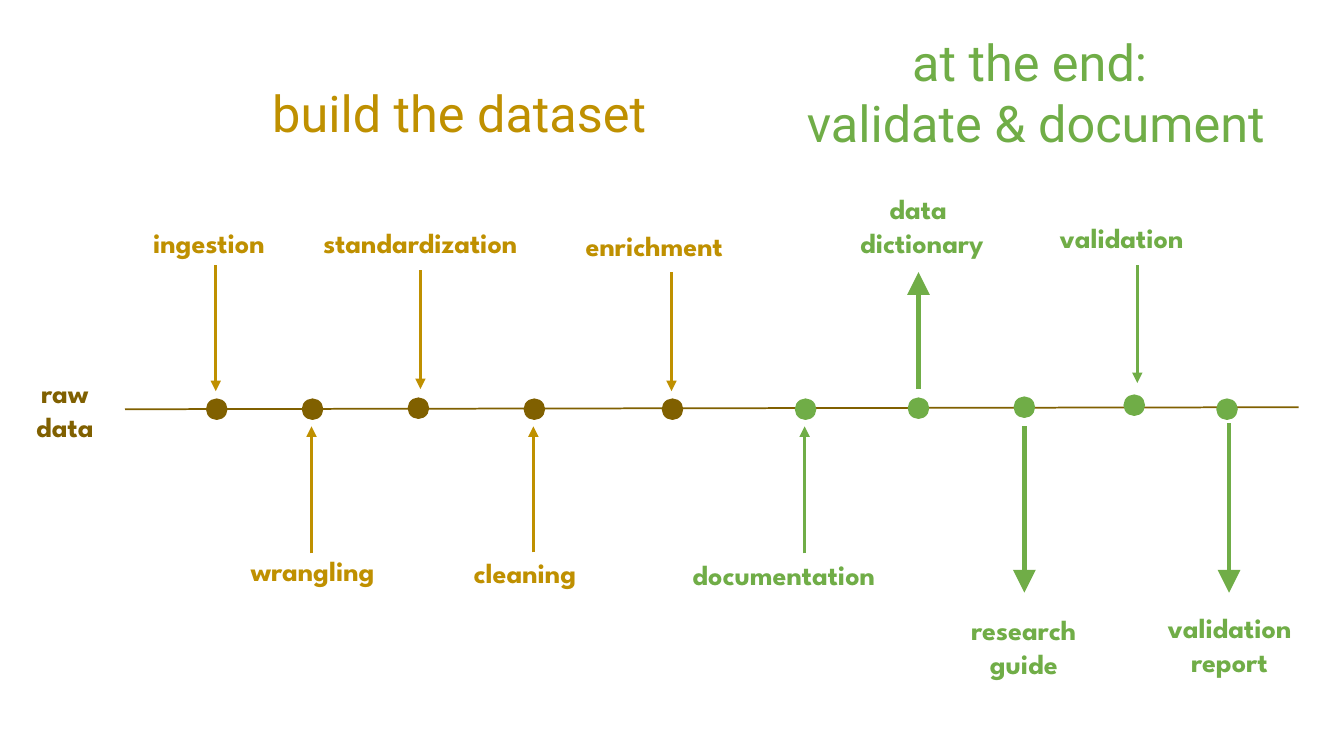
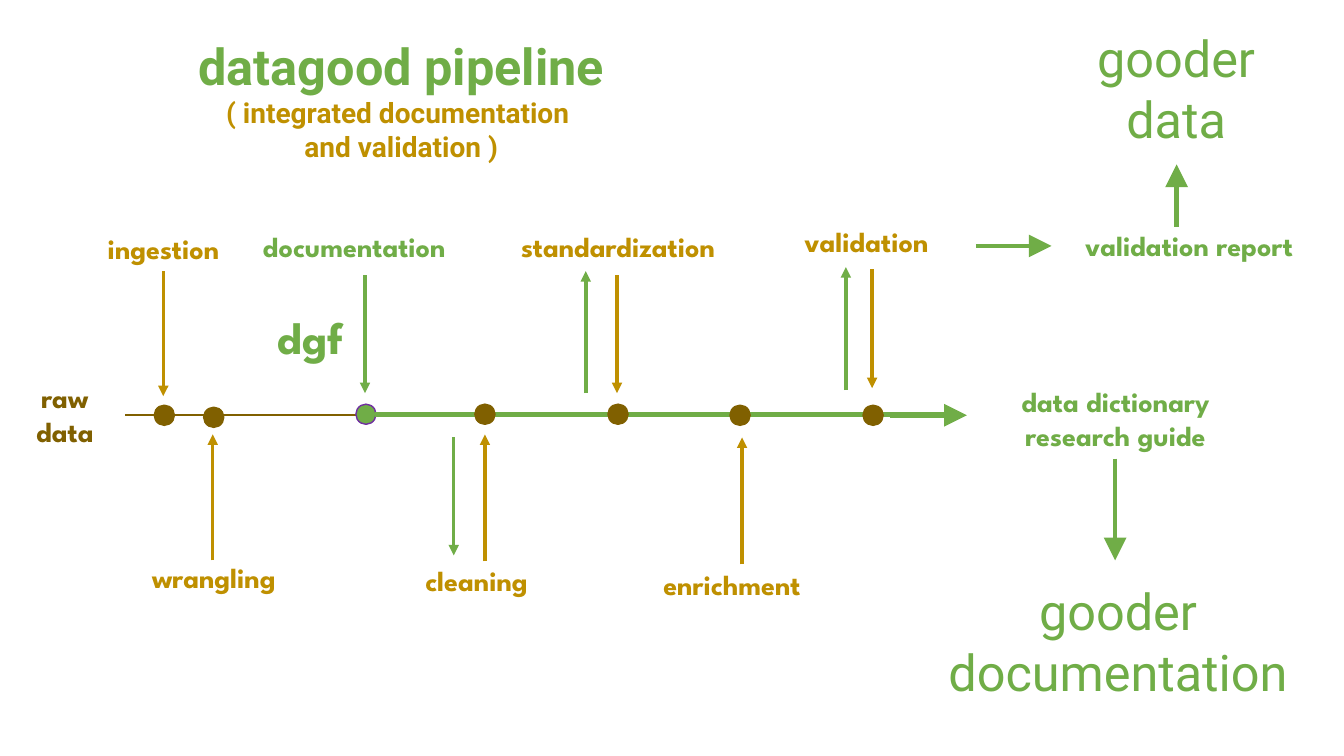
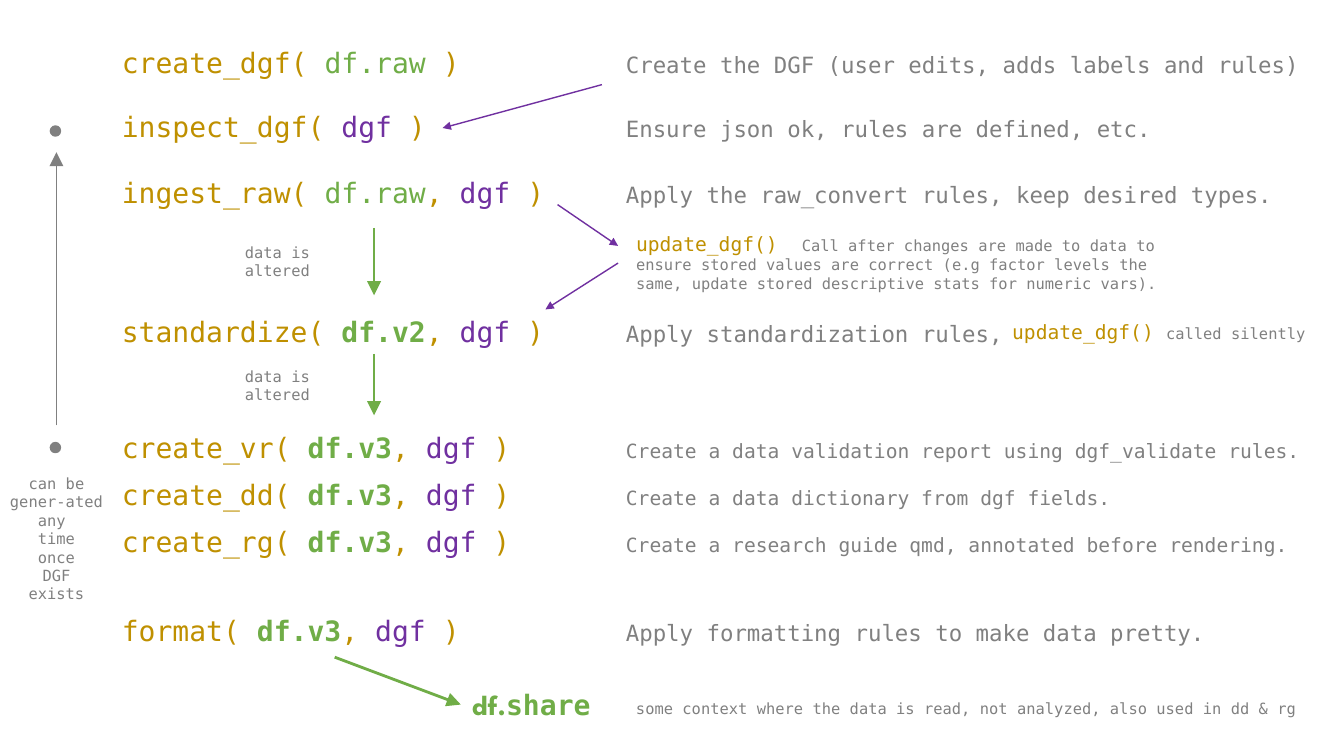
"""Builds three slides on a data pipeline with integrated documentation."""
from lxml import etree
from pptx import Presentation
from pptx.dml.color import RGBColor
from pptx.enum.shapes import MSO_CONNECTOR, MSO_SHAPE
from pptx.enum.text import MSO_AUTO_SIZE, PP_ALIGN
from pptx.oxml.ns import qn
from pptx.util import Inches, Pt

STRAIGHT = MSO_CONNECTOR.STRAIGHT
OVAL = MSO_SHAPE.OVAL
FIT_SHAPE = MSO_AUTO_SIZE.SHAPE_TO_FIT_TEXT
LEFT, CENTER = PP_ALIGN.LEFT, PP_ALIGN.CENTER

COLORS = {
    "brown": "806000",
    "gold": "BF9000",
    "green": "70AD47",
    "purple": "7030A0",
    "gray": "808080",
}
LABEL_FONT, TITLE_FONT, CODE_FONT = "League Spartan", "Roboto", "DejaVu Sans Mono"
NOTE = {"font": CODE_FONT, "size": 11, "color": "gray"}
THIN, MEDIUM, THICK = 1.25, 2.5, 3.25


def rgb(name):
    """Return the named colour."""
    return RGBColor.from_string(COLORS[name])


def add_run(paragraph, text, font=LABEL_FONT, size=20, color="green", bold=False):
    """Add one formatted run to a paragraph."""
    run = paragraph.add_run()
    run.text = text
    run.font.name = font
    run.font.size = Pt(size)
    run.font.bold = bold
    run.font.color.rgb = rgb(color)


def add_text(slide, box, content, align=LEFT, wrap=False, tab=None, **style):
    """Add text: a string, or a list of lines made of (text, changes) runs."""
    shape = slide.shapes.add_textbox(*map(Inches, box))
    frame = shape.text_frame
    frame.word_wrap = wrap
    frame.auto_size = FIT_SHAPE
    if isinstance(content, str):
        content = [[(line, {})] for line in content.split("\n")]
    for index, line in enumerate(content):
        paragraph = frame.add_paragraph() if index else frame.paragraphs[0]
        paragraph.alignment = align
        if tab:
            properties = paragraph._p.get_or_add_pPr()
            stops = etree.SubElement(properties, qn("a:tabLst"))
            etree.SubElement(stops, qn("a:tab"), pos=str(Inches(tab)), algn="l")
        for text, changes in line:
            add_run(paragraph, text, **{**style, **changes})


def add_label(slide, box, text, color, align=LEFT, size=20):
    """Add a bold step label."""
    add_text(slide, box, text, align, color=color, bold=True, size=size)


def add_title(slide, box, text, color="green", wrap=False):
    """Add a large centred heading."""
    add_text(slide, box, text, CENTER, wrap, font=TITLE_FONT, size=36, color=color)


def add_line(slide, start, end, color, width, head=None):
    """Add a straight line, with an arrowhead of size med or lg if wanted."""
    connector = slide.shapes.add_connector(STRAIGHT, *map(Inches, start + end))
    connector.line.color.rgb = rgb(color)
    connector.line.width = Pt(width)
    properties = connector._element.spPr
    if head:
        outline = properties.find(qn("a:ln"))
        etree.SubElement(outline, qn("a:tailEnd"), type="triangle", w=head, len=head)
    etree.SubElement(properties, qn("a:effectLst"))


def add_step_arrow(slide, x, start, end, color, width=MEDIUM):
    """Add a vertical arrow, with a large head if it is thick."""
    head = "lg" if width == THICK else "med"
    add_line(slide, (x, start), (x, end), color, width, head)


def add_dot(slide, x, y, color, outline=None, size=0.2):
    """Add a round marker centred on a point."""
    corner = (x - size / 2, y - size / 2)
    shape = slide.shapes.add_shape(OVAL, *map(Inches, corner + (size, size)))
    shape.shadow.inherit = False
    shape.fill.solid()
    shape.fill.fore_color.rgb = rgb(color)
    shape.line.color.rgb = rgb(outline or color)
    shape.line.width = Pt(1)


def add_call(slide, top, name, arguments, description, size):
    """Add a function call with its explanation at a tab stop."""
    runs = [(name + "( ", {})]
    for index, argument in enumerate(arguments):
        if index:
            runs.append((", ", {}))
        color = "purple" if argument == "dgf" else "green"
        runs.append((argument, {"color": color, "bold": argument.startswith("df.v")}))
    runs += [(" )\t", {}), (description, {"color": "gray", "size": size})]
    add_text(slide, (1.11, top, 12.1, 0.44), [runs], wrap=True, tab=5,
             font=CODE_FONT, color="gold")


def build_separate_slide(slide):
    """Draw the timeline that documents and validates at the end."""
    add_label(slide, (0.21, 3.68, 0.87, 0.77), "raw\ndata", "brown", CENTER)
    add_line(slide, (1.24, 4.06), (12.88, 4.04), "brown", THIN)
    for x, y, color in [
        (2.15, 4.06, "brown"), (3.1, 4.06, "brown"), (4.15, 4.05, "brown"),
        (5.3, 4.06, "brown"), (6.67, 4.06, "brown"), (7.99, 4.06, "green"),
        (9.11, 4.05, "green"), (10.16, 4.04, "green"), (11.25, 4.02, "green"),
        (12.17, 4.06, "green"),
    ]:
        add_dot(slide, x, y, color)
    for arrow in [
        (2.14, 2.63, 3.88, "gold"), (3.09, 5.49, 4.23, "gold"),
        (4.17, 2.68, 3.86, "gold"), (5.29, 5.48, 4.23, "gold"),
        (6.66, 2.7, 3.88, "gold"), (7.98, 5.49, 4.23, "green"),
        (9.11, 3.86, 2.7, "green", THICK), (10.16, 4.23, 5.88, "green", THICK),
        (11.28, 2.63, 3.8, "green"), (12.19, 4.2, 5.88, "green", THICK),
    ]:
        add_step_arrow(slide, *arrow)
    for left, top, width, text, color in [
        (1.42, 2.19, 1.42, "ingestion", "gold"),
        (2.39, 5.44, 1.54, "wrangling", "gold"),
        (3.11, 2.19, 2.29, "standardization", "gold"),
        (4.6, 5.46, 1.4, "cleaning", "gold"),
        (5.71, 2.22, 1.75, "enrichment", "gold"),
        (6.77, 5.48, 2.29, "documentation", "green"),
        (10.41, 2.14, 1.55, "validation", "green"),
    ]:
        add_label(slide, (left, top, width, 0.44), text, color)
    for left, top, width, text in [
        (8.36, 1.85, 1.57, "data \ndictionary"),
        (9.46, 6.03, 1.39, "research\nguide"),
        (11.42, 6.01, 1.55, "validation\nreport"),
    ]:
        add_label(slide, (left, top, width, 0.77), text, "green", CENTER)
    add_title(slide, (7.58, 0.26, 5.39, 1.31), "at the end: \nvalidate & document",
              wrap=True)
    add_title(slide, (2.44, 0.77, 4.23, 0.71), "build the dataset", "gold")


def build_integrated_slide(slide):
    """Draw the pipeline that documents and validates along the way."""
    add_label(slide, (0.21, 3.73, 0.87, 0.77), "raw\ndata", "brown", CENTER)
    add_line(slide, (1.24, 4.12), (9.44, 4.12), "brown", THIN)
    add_dot(slide, 3.63, 4.11, "green", "purple")
    add_line(slide, (3.72, 4.11), (9.43, 4.11), "green", 3.5)
    add_line(slide, (8.83, 4.12), (9.59, 4.12), "green", THICK, "lg")
    add_line(slide, (9.68, 2.44), (10.43, 2.44), "green", THICK, "lg")
    for x, y in [(1.63, 4.12), (2.12, 4.14), (4.81, 4.11), (6.13, 4.11),
                 (7.34, 4.12), (8.66, 4.12)]:
        add_dot(slide, x, y, "brown")
    for arrow in [
        (1.62, 2.69, 3.93, "gold"), (2.11, 5.56, 4.31, "gold"),
        (3.62, 2.73, 3.9, "green"), (4.5, 4.34, 5.51, "green"),
        (4.81, 5.57, 4.31, "gold"), (5.81, 3.9, 2.69, "green"),
        (6.12, 2.73, 3.9, "gold"), (7.36, 5.6, 4.34, "gold"),
        (8.39, 3.87, 2.65, "green"), (8.65, 2.67, 3.85, "gold"),
        (11.06, 4.55, 5.56, "green", THICK), (11.67, 2.25, 1.63, "green", THICK),
    ]:
        add_step_arrow(slide, *arrow)
    for left, top, width, text, color in [
        (0.97, 2.25, 1.42, "ingestion", "gold"),
        (1.41, 5.51, 1.54, "wrangling", "gold"),
        (2.51, 2.23, 2.29, "documentation", "green"),
        (4.12, 5.54, 1.4, "cleaning", "gold"),
        (5.07, 2.23, 2.29, "standardization", "gold"),
        (6.48, 5.58, 1.75, "enrichment", "gold"),
        (7.88, 2.18, 1.55, "validation", "gold"),
    ]:
        add_label(slide, (left, top, width, 0.44), text, color)
    add_label(slide, (9.92, 3.77, 2.29, 0.77), "data dictionary\nresearch guide",
              "green", CENTER)
    add_label(slide, (10.58, 2.22, 2.43, 0.44), "validation report", "green", CENTER)
    add_label(slide, (2.62, 3.02, 0.92, 0.64), "dgf", "green", CENTER, 32)
    subtitle = {"size": 20, "color": "gold"}
    heading = [
        [("datagood pipeline", {})],
        [("( integrated documentation ", subtitle)],
        [("and validation )", subtitle)],
    ]
    add_text(slide, (1.47, 0.3, 5.02, 1.38), heading, CENTER, True,
             font=TITLE_FONT, size=36, bold=True)
    add_title(slide, (9.21, 5.71, 3.76, 1.31), "gooder\ndocumentation")
    add_title(slide, (10.69, 0.22, 1.95, 1.31), "gooder\ndata")


def build_functions_slide(slide):
    """List the functions of the pipeline and what each one does."""
    for call in [
        (0.4, "create_dgf", ["df.raw"],
         "Create the DGF (user edits, adds labels and rules)", 16),
        (1.04, "inspect_dgf", ["dgf"], "Ensure json ok, rules are defined, etc.", 16),
        (1.69, "ingest_raw", ["df.raw", "dgf"],
         "Apply the raw_convert rules, keep desired types.", 16),
        (3.07, "standardize", ["df.v2", "dgf"], "Apply standardization rules,", 16),
        (4.22, "create_vr", ["df.v3", "dgf"],
         "Create a data validation report using dgf_validate rules.", 14),
        (4.69, "create_dd", ["df.v3", "dgf"],
         "Create a data dictionary from dgf fields.", 14),
        (5.15, "create_rg", ["df.v3", "dgf"],
         "Create a research guide qmd, annotated before rendering.", 14),
        (6.04, "format", ["df.v3", "dgf"],
         "Apply formatting rules to make data pretty.", 16),
    ]:
        add_call(slide, *call)

    update = {"size": 14, "color": "gold"}
    explanation = ("Call after changes are made to data to ensure stored values are "
                   "correct (e.g factor levels the same, update stored descriptive "
                   "stats for numeric vars).")
    add_text(slide, (6.21, 2.25, 5.41, 0.71),
             [[("update_dgf()  ", update), (explanation, {})]], wrap=True, **NOTE)
    add_text(slide, (9.94, 3.12, 3.12, 0.34),
             [[("update_dgf() ", update), ("called silently", {})]], **NOTE)
    for top in (2.36, 3.59):
        add_text(slide, (2.33, top, 0.95, 0.47), "data is\naltered", **NOTE)
    add_text(slide, (6.21, 6.89, 6.8, 0.29),
             "some context where the data is read, not analyzed, also used in dd & rg",
             **NOTE)
    add_text(slide, (0, 4.65, 1.12, 1.63),
             "can be gener-ated \nany \ntime\nonce\nDGF\nexists", CENTER, True, **NOTE)
    add_text(slide, (4.57, 6.77, 1.4, 0.44),
             [[("df.", {}), ("share", {"font": CODE_FONT})]], CENTER, bold=True)

    for start, end in [((3.71, 2.26), (3.71, 2.93)), ((3.71, 3.51), (3.71, 4.12)),
                       ((3.32, 6.52), (4.57, 6.99))]:
        add_line(slide, start, end, "green", 2, "lg")
    for start, end in [((5.53, 2.03), (6.13, 2.44)), ((6.13, 2.61), (5.41, 3.07)),
                       ((5.97, 0.84), (4.39, 1.27))]:
        add_line(slide, start, end, "purple", 1, "med")
    add_line(slide, (0.56, 4.22), (0.56, 1.51), "gray", THIN, "lg")
    for y in (1.3, 4.44):
        add_dot(slide, 0.55, y, "gray", size=0.1)


def main():
    """Build and save the presentation."""
    presentation = Presentation()
    presentation.slide_width = Inches(13.33)
    presentation.slide_height = Inches(7.5)
    blank = presentation.slide_layouts[6]
    for build in (build_separate_slide, build_integrated_slide, build_functions_slide):
        build(presentation.slides.add_slide(blank))
    presentation.save("out.pptx")


if __name__ == "__main__":
    main()
